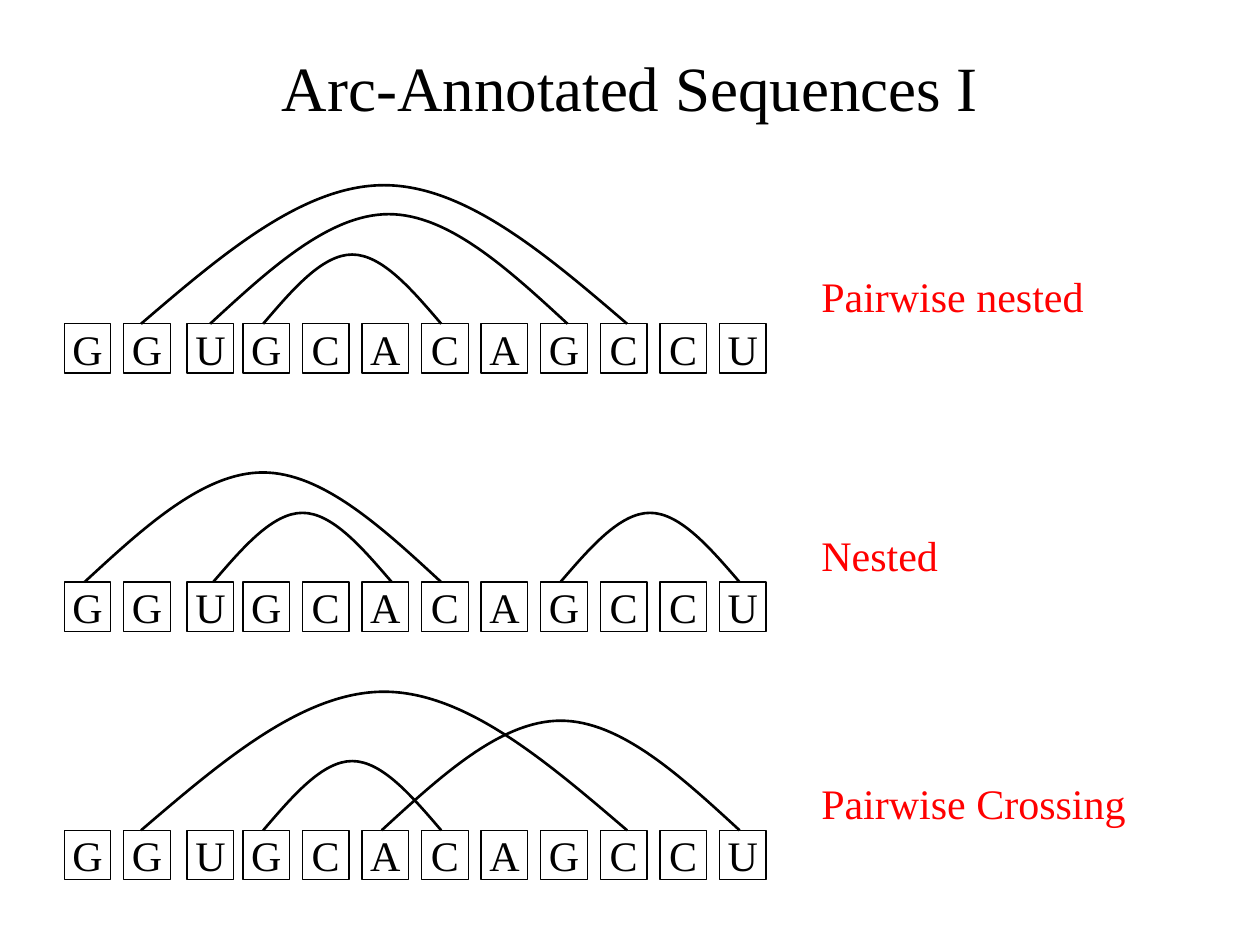
from dataclasses import dataclass

from lxml.etree import SubElement
from pptx import Presentation
from pptx.dml.color import RGBColor
from pptx.enum.shapes import MSO_SHAPE
from pptx.enum.text import MSO_ANCHOR, MSO_AUTO_SIZE, PP_ALIGN
from pptx.oxml.ns import qn
from pptx.shapes.group import GroupShape
from pptx.text.text import TextFrame
from pptx.util import Inches, Pt

BLACK = RGBColor(0x00, 0x00, 0x00)
WHITE = RGBColor(0xFF, 0xFF, 0xFF)
RED = RGBColor(0xFF, 0x00, 0x00)
FONT = "Times New Roman"

SEQUENCE = "GGUGCACAGCCU"
GRID_LEFT, PITCH = 0.51, 5.2 / 11
BOX_W, BOX_H = 0.37, 0.39
NUDGE = {2: 0.03}
LABEL_LEFT, LABEL_RISE, LABEL_H = 6.42, 0.47, 0.5
LOW, MID, HIGH = 0.55, 0.87, 1.1


@dataclass
class Arc:
    start: float
    end: float
    height: float


@dataclass
class Row:
    top: float
    label: str
    label_w: float
    arcs: list[Arc]


ROWS = [
    Row(2.57, "Pairwise nested", 2.29,
        [Arc(3.34, 6.33, LOW), Arc(1.29, 9.45, HIGH), Arc(2.45, 8.45, MID)]),
    Row(6.59, "Pairwise Crossing", 2.84,
        [Arc(3.34, 6.33, LOW), Arc(1.29, 9.45, HIGH), Arc(5.33, 11.34, MID)]),
    Row(4.62, "Nested", 2.29,
        [Arc(2.5, 5.5, LOW), Arc(0.34, 6.33, MID), Arc(8.33, 11.34, LOW)]),
]


def column_x(col: float) -> float:
    return GRID_LEFT + col * PITCH


def write(tf: TextFrame, text: str, *, size: int = 24, color: RGBColor = BLACK,
          align: PP_ALIGN = PP_ALIGN.CENTER, anchor: MSO_ANCHOR = MSO_ANCHOR.MIDDLE,
          wrap: bool = True) -> None:
    tf.word_wrap = wrap
    tf.vertical_anchor = anchor
    p = tf.paragraphs[0]
    p.alignment = align
    r = p.add_run()
    r.text = text
    r.font.name = FONT
    r.font.size = Pt(size)
    r.font.color.rgb = color


def add_base(grp: GroupShape, col: int, top: float, base: str) -> None:
    left = column_x(col) + NUDGE.get(col, 0)
    sp = grp.shapes.add_shape(MSO_SHAPE.RECTANGLE, Inches(left), Inches(top),
                              Inches(BOX_W), Inches(BOX_H))
    sp.shadow.inherit = False
    sp.fill.solid()
    sp.fill.fore_color.rgb = WHITE
    sp.line.color.rgb = BLACK
    sp.line.width = Pt(0.75)
    write(sp.text_frame, base, wrap=False)


def add_arc(grp: GroupShape, arc: Arc, bottom: float) -> None:
    x, w = column_x(arc.start), (arc.end - arc.start) * PITCH
    shares = [(0, 0), (1 / 6, 0.5), (1 / 3, 1), (1 / 2, 1),
              (2 / 3, 1), (5 / 6, 0.5), (1, 0)]
    points = [(Inches(x + w * u), Inches(bottom - arc.height * v)) for u, v in shares]
    builder = grp.shapes.build_freeform(*points[0])
    builder.add_line_segments(points[1:], close=False)
    sp = builder.convert_to_shape()
    sp.shadow.inherit = False
    sp.fill.background()
    sp.line.color.rgb = BLACK
    sp.line.width = Pt(1.5)
    outline = next(sp._element.iter(qn("a:path")))
    segments = outline.findall(qn("a:lnTo"))
    for i in range(0, len(segments), 3):
        curve = SubElement(outline, qn("a:cubicBezTo"))
        for segment in segments[i:i + 3]:
            curve.append(segment[0])
            outline.remove(segment)


def add_label(grp: GroupShape, row: Row) -> None:
    sp = grp.shapes.add_textbox(Inches(LABEL_LEFT), Inches(row.top - LABEL_RISE),
                                Inches(row.label_w), Inches(LABEL_H))
    write(sp.text_frame, row.label, color=RED, align=PP_ALIGN.LEFT,
          anchor=MSO_ANCHOR.TOP)
    sp.text_frame.auto_size = MSO_AUTO_SIZE.SHAPE_TO_FIT_TEXT


def main() -> None:
    prs = Presentation()
    prs.slide_width, prs.slide_height = Inches(10), Inches(7.5)
    s = prs.slides.add_slide(prs.slide_layouts[5])

    title = s.shapes.title
    title.left, title.top = Inches(0.5), Inches(0.3)
    title.width, title.height = Inches(9), Inches(0.77)
    write(title.text_frame, "Arc-Annotated Sequences I", size=36)

    for row in ROWS:
        grp = s.shapes.add_group_shape()
        for col, base in enumerate(SEQUENCE):
            add_base(grp, col, row.top, base)
        for arc in row.arcs:
            add_arc(grp, arc, row.top)
        add_label(grp, row)

    prs.save("out.pptx")


if __name__ == "__main__":
    main()
